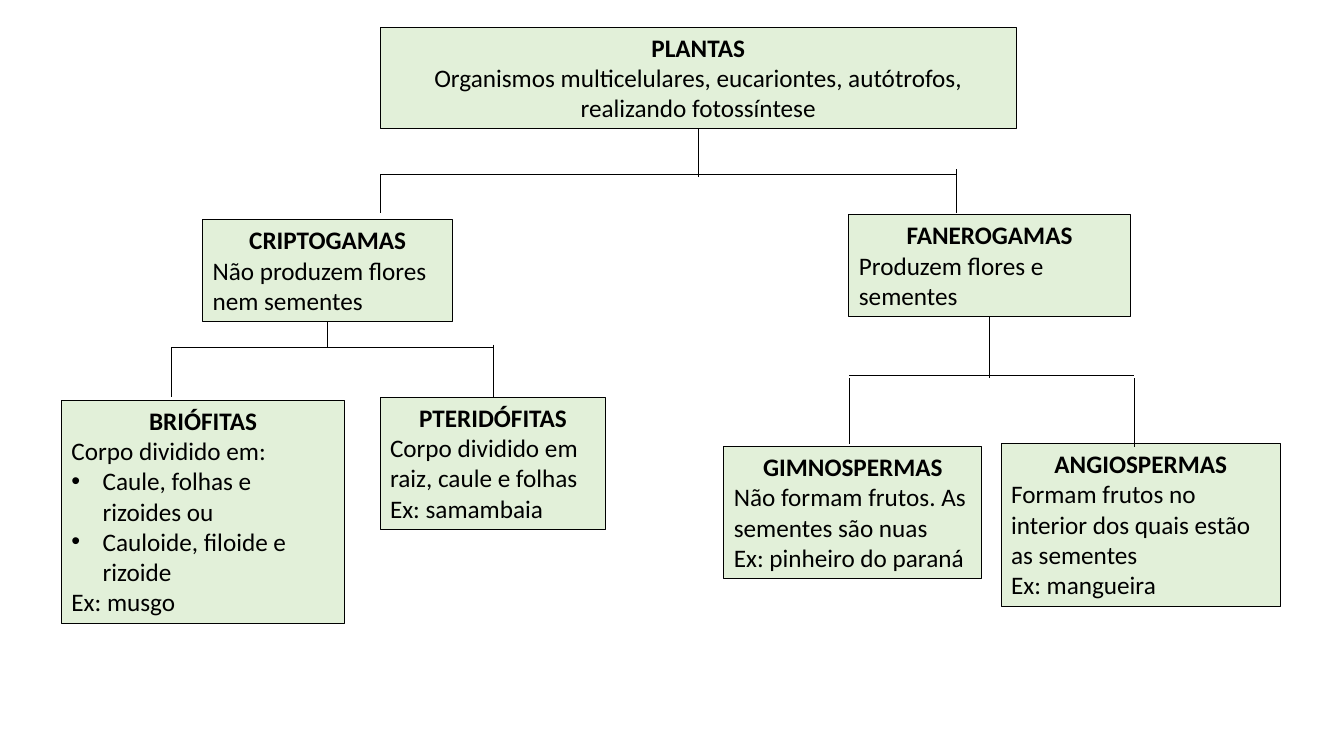
from lxml.etree import SubElement as Sub
from pptx import Presentation
from pptx.dml.color import RGBColor
from pptx.enum.shapes import MSO_CONNECTOR as Conn
from pptx.enum.text import MSO_AUTO_SIZE as Fit, PP_ALIGN as Align
from pptx.oxml.ns import qn
from pptx.util import Inches, Pt


def color(code):
    return RGBColor.from_string(code)


class Chart:
    font, size = "Calibri", 18
    ink, pale = "000000", "E2F0D9"

    def __init__(self, slide):
        self.slide = slide

    def text(self, par, words, bold=False):
        run = par.add_run()
        run.text = words
        run.font.name, run.font.size = self.font, Pt(self.size)
        run.font.bold = bold
        run.font.color.rgb = color(self.ink)

    def bullet(self, par):
        props = par._p.get_or_add_pPr()
        props.set("marL", str(Inches(0.31)))
        props.set("indent", str(-Inches(0.31)))
        Sub(props, qn("a:buFont")).set("typeface", "Arial")
        Sub(props, qn("a:buChar")).set("char", "•")

    def box(self, place, title, lines, align=Align.LEFT):
        """Draw a group's box; lines that start with * are bulleted."""
        box = self.slide.shapes.add_textbox(*map(Inches, place))
        box.fill.solid()
        box.fill.fore_color.rgb = color(self.pale)
        box.line.color.rgb = color(self.ink)
        box.line.width = Pt(0.75)
        frame = box.text_frame
        frame.word_wrap = True
        frame.auto_size = Fit.SHAPE_TO_FIT_TEXT
        head = frame.paragraphs[0]
        head.alignment = Align.CENTER
        self.text(head, title, bold=True)
        for line in lines:
            par = frame.add_paragraph()
            par.alignment = align
            if line.startswith("*"):
                self.bullet(par)
            self.text(par, line.lstrip("*"))

    def line(self, *ends):
        line = self.slide.shapes.add_connector(Conn.STRAIGHT, *map(Inches, ends))
        line.line.color.rgb = color(self.ink)
        line.line.width = Pt(0.5)
        Sub(line._element.spPr, qn("a:effectLst"))

    def fork(self, stem, split, level, drops):
        """Join a stem (x, top, end) to drops (x, top, end) by a level bar."""
        x, top, end = stem
        self.line(x, top, x, end)
        for x, top, end in drops:
            self.line(split, level, x, level)
            self.line(x, top, x, end)


deck = Presentation()
deck.slide_width, deck.slide_height = Inches(13.33), Inches(7.5)
chart = Chart(deck.slides.add_slide(deck.slide_layouts[6]))

# Root
chart.box((3.77, 0.27, 6.31, 1.01), "PLANTAS",
          ["Organismos multicelulares, eucariontes, autótrofos, "
           "realizando fotossíntese"], Align.CENTER)

# Groups and subgroups
groups = [
    ((2.01, 2.18, 2.48, 1.01), "CRIPTOGAMAS",
     ["Não produzem flores nem sementes"]),
    ((8.42, 2.13, 2.79, 1.01), "FANEROGAMAS",
     ["Produzem flores e sementes"]),
    ((0.61, 3.97, 2.81, 2.22), "BRIÓFITAS",
     ["Corpo dividido em:", "*Caule, folhas e rizoides ou",
      "*Cauloide, filoide e rizoide", "Ex: musgo"]),
    ((3.77, 3.94, 2.24, 1.31), "PTERIDÓFITAS",
     ["Corpo dividido em raiz, caule e folhas", "Ex: samambaia"]),
    ((7.18, 4.43, 2.56, 1.31), "GIMNOSPERMAS",
     ["Não formam frutos. As sementes são nuas", "Ex: pinheiro do paraná"]),
    ((9.93, 4.4, 2.77, 1.62), "ANGIOSPERMAS",
     ["Formam frutos no interior dos quais estão as sementes",
      "Ex: mangueira"]),
]
for group in groups:
    chart.box(*group)

# Branches
chart.fork((6.93, 1.28, 1.76), 6.93, 1.73,
           [(3.77, 1.73, 2.11), (9.49, 1.68, 2.11)])
chart.fork((3.25, 3.19, 3.45), 3.14, 3.45,
           [(1.7, 3.45, 3.94), (4.89, 3.42, 3.94)])
chart.fork((9.81, 3.14, 3.75), 10.08, 3.72,
           [(8.42, 3.75, 4.4), (11.25, 3.75, 4.43)])

deck.save("out.pptx")
